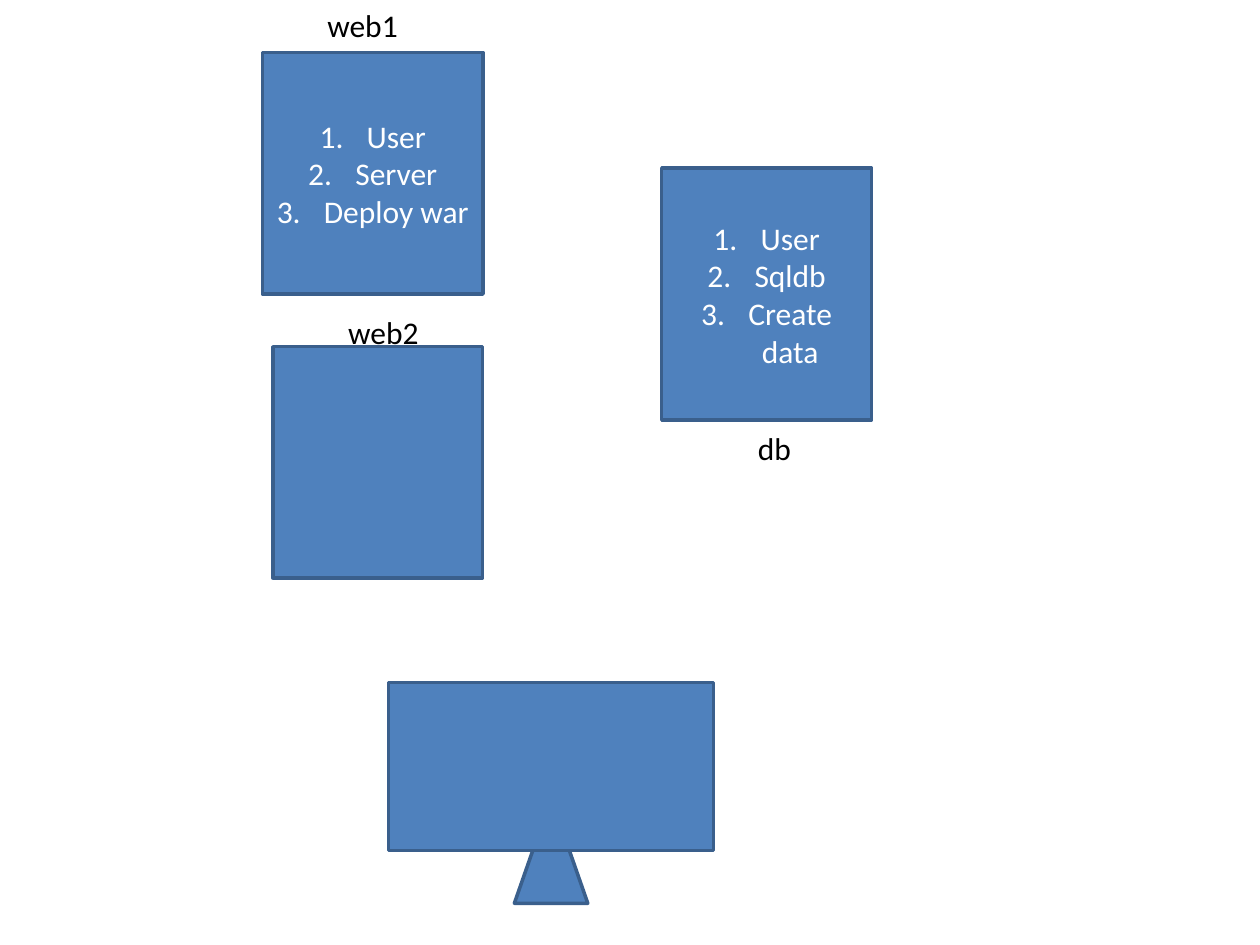
from dataclasses import dataclass

from lxml import etree
from pptx import Presentation
from pptx import util as u
from pptx.dml.color import RGBColor
from pptx.enum import shapes, text
from pptx.oxml import ns


@dataclass(frozen=True)
class Theme:
    """Colours, type and line sizes of the deck."""
    fill: str = "4F81BD"
    edge: str = "3A5F8C"
    light: str = "FFFFFF"
    dark: str = "000000"
    font: str = "Calibri"
    size: int = 18
    edge_width: int = 2
    indent: float = 0.95


class Diagram:
    """Draws styled elements on the current slide."""

    def __init__(self, slide, theme):
        """Keep the slide and its style."""
        self.slide = slide
        self.theme = theme

    def add_words(self, para, words, colour):
        """Add one formatted run to a paragraph."""
        span = para.add_run()
        span.text = words
        values = {"name": self.theme.font, "size": u.Pt(self.theme.size)}
        for name, value in values.items():
            setattr(span.font, name, value)
        span.font.color.rgb = RGBColor.from_string(colour)

    def block(self, kind, place, steps=()):
        """Draw a filled shape with an optional numbered list."""
        box = self.slide.shapes.add_shape(kind, *map(u.Cm, place))
        box.shadow.inherit = False
        box.fill.solid()
        box.fill.fore_color.rgb = RGBColor.from_string(self.theme.fill)
        box.line.color.rgb = RGBColor.from_string(self.theme.edge)
        box.line.width = u.Pt(self.theme.edge_width)
        frame = box.text_frame
        frame.word_wrap = True
        frame.vertical_anchor = text.MSO_ANCHOR.MIDDLE
        for index, step in enumerate(steps):
            para = frame.add_paragraph() if index else frame.paragraphs[0]
            para.alignment = text.PP_ALIGN.CENTER
            self.add_words(para, step, self.theme.light)
            self.number(para)

    def number(self, para):
        """Give a paragraph an automatic number and hanging indent."""
        indent = u.Cm(self.theme.indent)
        props = para._p.get_or_add_pPr()
        props.set("marL", str(indent))
        props.set("indent", str(-indent))
        etree.SubElement(props, ns.qn("a:buFont"), typeface="+mj-lt")
        etree.SubElement(props, ns.qn("a:buAutoNum"), type="arabicPeriod")

    def label(self, place, words):
        """Place a one-line caption."""
        box = self.slide.shapes.add_textbox(*map(u.Cm, place))
        values = {"word_wrap": False,
                  "auto_size": text.MSO_AUTO_SIZE.SHAPE_TO_FIT_TEXT}
        for name, value in values.items():
            setattr(box.text_frame, name, value)
        self.add_words(box.text_frame.paragraphs[0], words, self.theme.dark)


def build():
    """Build and save the server diagram."""
    deck = Presentation()
    deck.slide_width, deck.slide_height = u.Cm(25.4), u.Cm(19.05)
    page = deck.slides.add_slide(deck.slide_layouts[6])
    diagram = Diagram(page, Theme())
    kinds = shapes.MSO_SHAPE
    blocks = [
        (kinds.ISOSCELES_TRIANGLE, (10.37, 16.09, 1.48, 2.12), ()),
        (kinds.RECTANGLE, (5.29, 1.06, 4.45, 4.87),
         ("User", "Server", "Deploy war")),
        (kinds.RECTANGLE, (13.34, 3.39, 4.23, 5.08),
         ("User", "Sqldb", "Create data")),
        (kinds.RECTANGLE, (7.83, 13.76, 6.56, 3.39), ()),
        (kinds.RECTANGLE, (5.5, 6.99, 4.23, 4.66), ()),
    ]
    for kind, place, steps in blocks:
        diagram.block(kind, place, steps)
    labels = [
        ("web1", 6.35, 0, 1.95),
        ("web2", 6.77, 6.18, 1.95),
        ("db", 15.03, 8.52, 1.19),
    ]
    for words, left, top, width in labels:
        diagram.label((left, top, width, 1.03), words)
    deck.save("out.pptx")


build()
